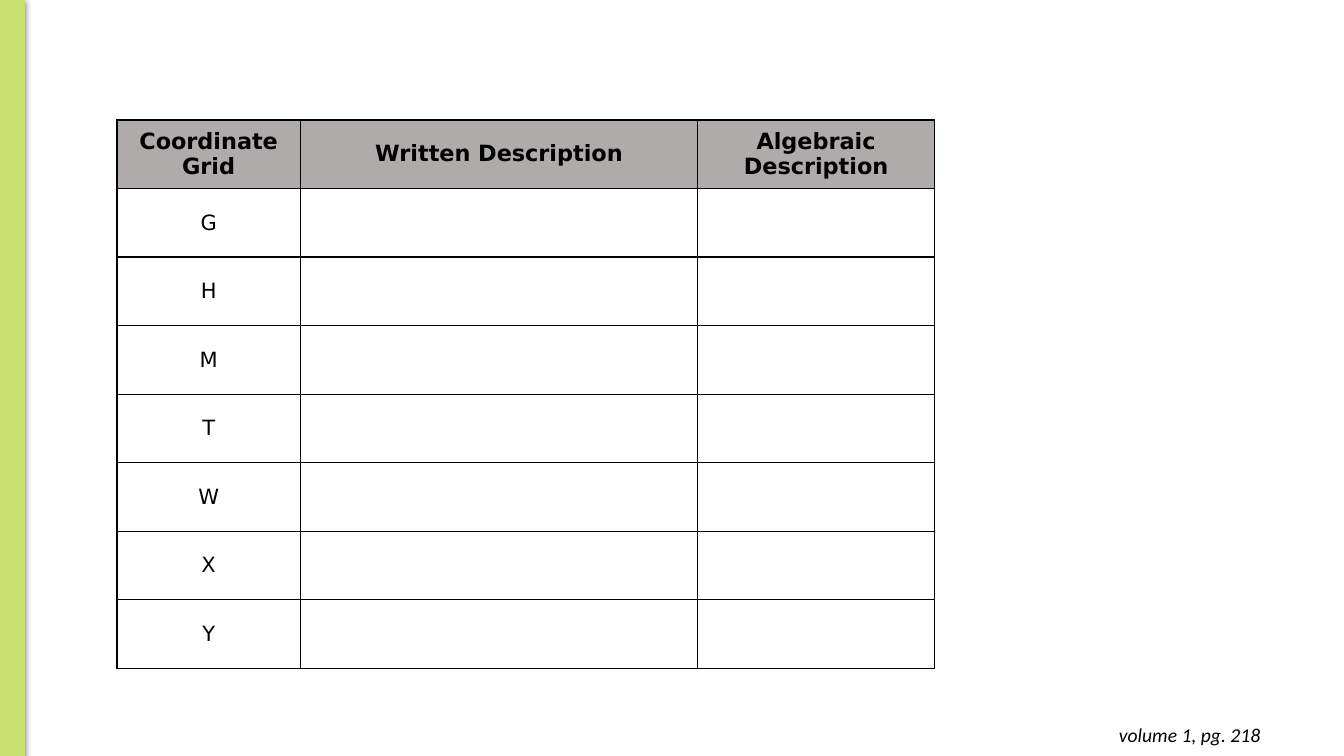
"""Build a slide with a blank table for describing coordinate grids."""
from dataclasses import dataclass

from lxml.etree import SubElement
from pptx import Presentation
from pptx.dml.color import RGBColor
from pptx.enum.shapes import MSO_SHAPE
from pptx.enum.text import MSO_ANCHOR, MSO_AUTO_SIZE, PP_ALIGN
from pptx.oxml import parse_xml
from pptx.oxml.ns import nsdecls, qn
from pptx.util import Inches, Pt

HEADERS = ["Coordinate Grid", "Written Description", "Algebraic Description"]
GRIDS = ["G", "H", "M", "T", "W", "X", "Y"]
PAGE_REFERENCE = "volume 1, pg. 218"

COLUMN_WIDTHS = [1.82, 3.94, 2.35]
ROW_HEIGHT = 0.68
TABLE_LEFT, TABLE_TOP = 1.16, 1.19


@dataclass(frozen=True)
class Theme:
    ink: RGBColor = RGBColor.from_string("000000")
    accent: RGBColor = RGBColor.from_string("C9DF6F")
    header: RGBColor = RGBColor.from_string("AFABAB")
    table_font: str = "DejaVu Sans"
    note_font: str = "Calibri"
    header_size: int = 16
    label_size: int = 15
    note_size: int = 14


THEME = Theme()


def style_font(font, name, size, bold=False, italic=False):
    font.name, font.size = name, Pt(size)
    font.bold, font.italic = bold, italic
    font.color.rgb = THEME.ink


def add_side_bar(page, height):
    bar = page.shapes.add_shape(MSO_SHAPE.RECTANGLE, 0, 0, Inches(0.24), height)
    bar.fill.solid()
    bar.fill.fore_color.rgb = THEME.accent
    bar.line.color.rgb = THEME.accent
    bar.line.width = Pt(0.75)
    bar.shadow.inherit = False
    effects = bar.element.spPr.find(qn("a:effectLst"))
    effects.append(parse_xml(
        f'<a:outerShdw {nsdecls("a")} blurRad="{Pt(4.5)}" dist="{Pt(1.5)}" '
        f'dir="5400000" rotWithShape="0"><a:srgbClr val="{THEME.ink}">'
        '<a:alpha val="50000"/></a:srgbClr></a:outerShdw>'))


def add_page_reference(page):
    box = page.shapes.add_textbox(*map(Inches, (9.72, 7.07, 2.88, 0.44)))
    frame = box.text_frame
    frame.word_wrap = True
    frame.auto_size = MSO_AUTO_SIZE.SHAPE_TO_FIT_TEXT
    frame.margin_left = frame.margin_right = Inches(0.1)
    frame.margin_top = frame.margin_bottom = Inches(0.1)
    para = frame.paragraphs[0]
    para.text = PAGE_REFERENCE
    para.alignment = PP_ALIGN.RIGHT
    style_font(para.font, THEME.note_font, THEME.note_size, italic=True)


def add_borders(cell):
    properties = cell._tc.get_or_add_tcPr()
    for side in ("a:lnL", "a:lnR", "a:lnT", "a:lnB"):
        border = SubElement(properties, qn(side), w=str(Pt(1)))
        fill = SubElement(border, qn("a:solidFill"))
        SubElement(fill, qn("a:srgbClr"), val=str(THEME.ink))


def format_cell(cell, text, is_header):
    add_borders(cell)
    if is_header:
        cell.fill.solid()
        cell.fill.fore_color.rgb = THEME.header
    else:
        cell.fill.background()
    cell.vertical_anchor = MSO_ANCHOR.MIDDLE
    cell.margin_left = cell.margin_right = Inches(0.06)
    cell.margin_top = cell.margin_bottom = 0
    para = cell.text_frame.paragraphs[0]
    para.text = text
    para.alignment = PP_ALIGN.CENTER
    para.space_after = Pt(10)
    size = THEME.header_size if is_header else THEME.label_size
    style_font(para.font, THEME.table_font, size, bold=is_header)


def add_description_table(page):
    rows = [HEADERS] + [[grid, "", ""] for grid in GRIDS]
    table = page.shapes.add_table(
        len(rows), len(HEADERS), Inches(TABLE_LEFT), Inches(TABLE_TOP),
        Inches(sum(COLUMN_WIDTHS)), Inches(ROW_HEIGHT * len(rows))).table
    table.first_row = table.horz_banding = False
    for column, width in zip(table.columns, COLUMN_WIDTHS):
        column.width = Inches(width)
    for row_index, texts in enumerate(rows):
        table.rows[row_index].height = Inches(ROW_HEIGHT)
        for column_index, text in enumerate(texts):
            format_cell(table.cell(row_index, column_index), text, row_index == 0)


def main():
    deck = Presentation()
    deck.slide_width, deck.slide_height = Inches(13.33), Inches(7.5)
    page = deck.slides.add_slide(deck.slide_layouts[6])
    add_side_bar(page, deck.slide_height)
    add_page_reference(page)
    add_description_table(page)
    deck.save("out.pptx")


if __name__ == "__main__":
    main()
